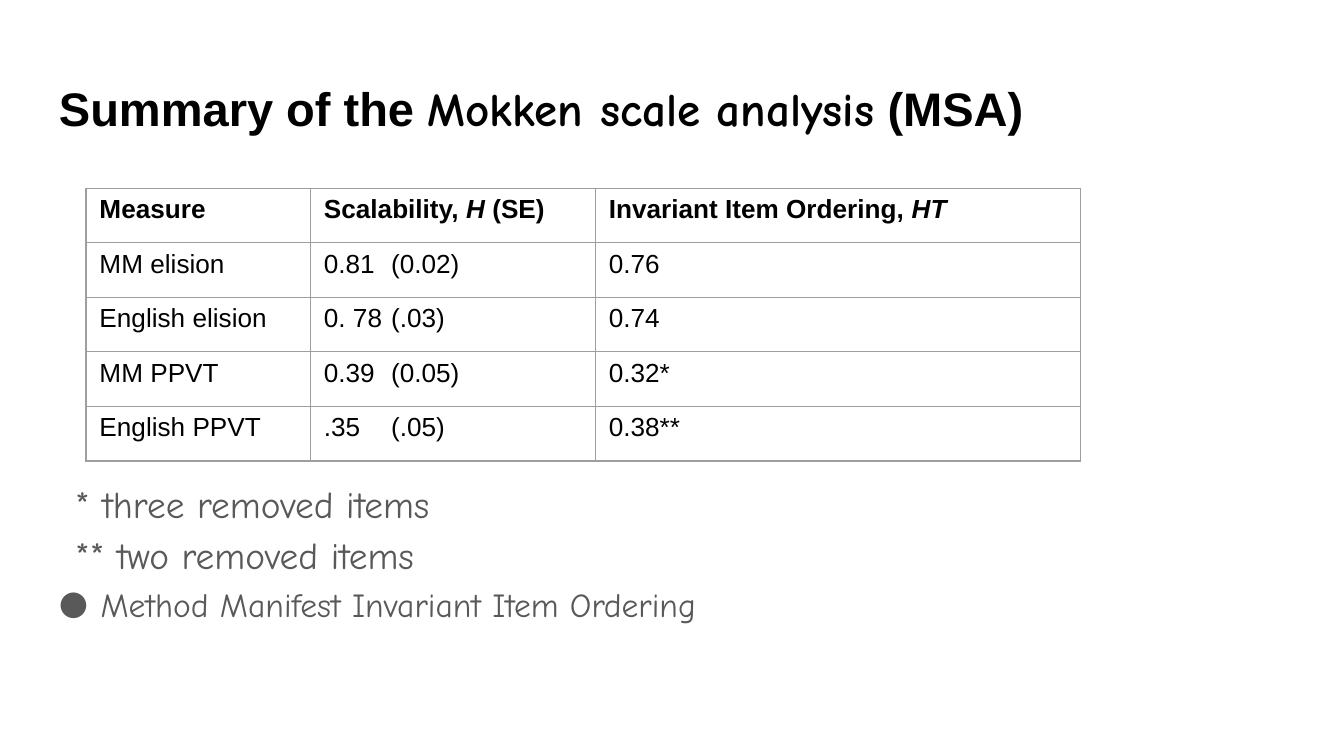
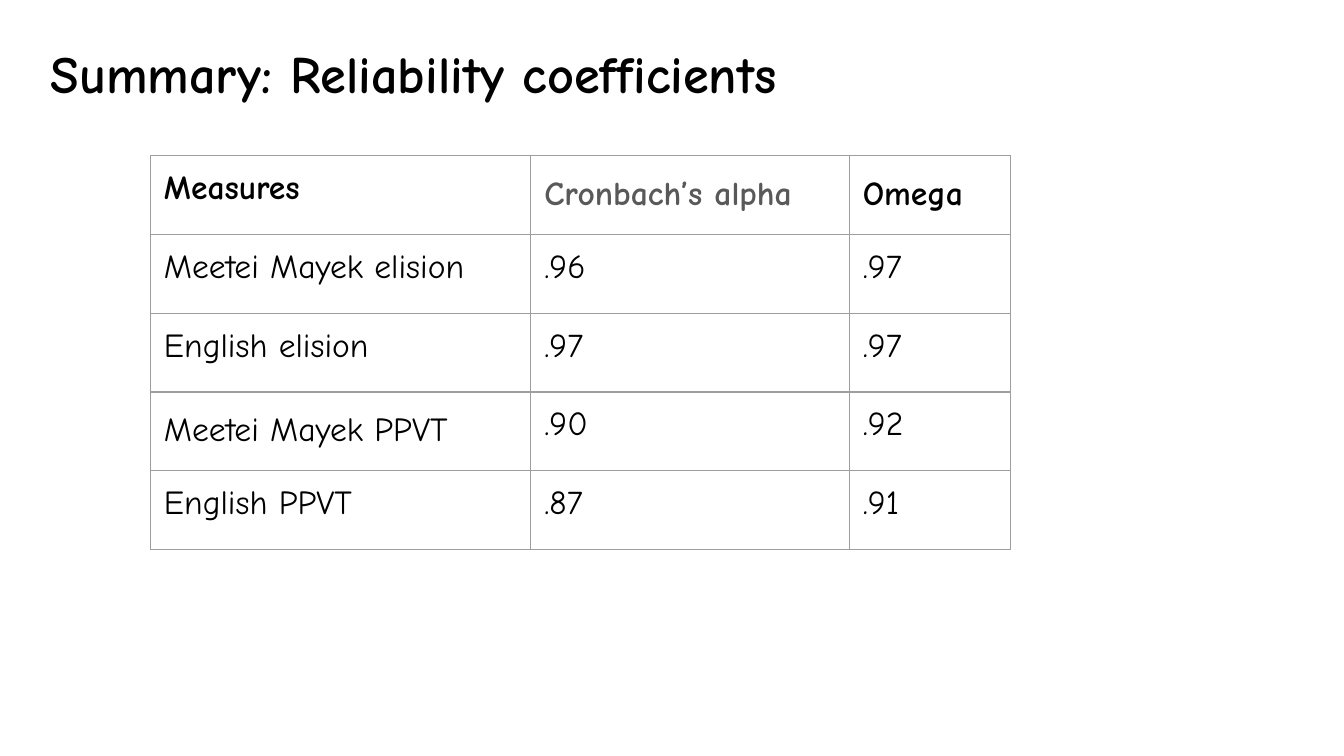
from dataclasses import dataclass, replace

from lxml.etree import SubElement
from pptx import Presentation
from pptx.dml.color import RGBColor
from pptx.enum.text import MSO_ANCHOR as Anchor
from pptx.oxml.ns import qn
from pptx.util import Inches, Pt

BLACK = RGBColor(0x00, 0x00, 0x00)
GREY = RGBColor(0x59, 0x59, 0x59)
BORDER = RGBColor(0x9E, 0x9E, 0x9E)
SANS = "Arial"
COMIC = "Comic Neue"
INSET = 0.1
LOOSE = 1.15
AFTER = 12


@dataclass(frozen=True)
class Style:
    font: str
    size: float
    color: RGBColor = BLACK
    bold: bool = False
    italic: bool = False


@dataclass(frozen=True)
class Span:
    text: str
    style: Style


@dataclass(frozen=True)
class Line:
    spans: tuple[Span, ...]
    spacing: float | None = None
    after: float = 0
    margin: float = 0
    indent: float = 0
    bullet: bool = False
    tab: float | None = None


@dataclass(frozen=True)
class TableSpec:
    left: float
    top: float
    widths: tuple[float, ...]
    height: float
    inset_y: float
    rows: tuple[tuple[Line, ...], ...]


def plain(text: str, style: Style, **layout) -> Line:
    return Line((Span(text, style),), **layout)


def write_line(paragraph, line: Line) -> None:
    for span in line.spans:
        run = paragraph.add_run()
        run.text = span.text
        font, style = run.font, span.style
        font.name, font.size = style.font, Pt(style.size)
        font.bold, font.italic = style.bold, style.italic
        font.color.rgb = style.color
    if line.spacing:
        paragraph.line_spacing = line.spacing
    paragraph.space_after = Pt(line.after)
    properties = paragraph._p.get_or_add_pPr()
    properties.set("marL", str(Inches(line.margin)))
    properties.set("indent", str(Inches(line.indent)))
    if line.bullet:
        style = line.spans[0].style
        color = SubElement(properties, qn("a:buClr"))
        SubElement(color, qn("a:srgbClr"), val=str(style.color))
        SubElement(properties, qn("a:buFont"), typeface=style.font)
        SubElement(properties, qn("a:buChar"), char="●")
    if line.tab:
        tabs = SubElement(properties, qn("a:tabLst"))
        SubElement(tabs, qn("a:tab"), pos=str(Inches(line.tab)), algn="l")


def add_text(slide, left: float, top: float, width: float, height: float,
             lines: tuple[Line, ...]) -> None:
    box = slide.shapes.add_textbox(Inches(left), Inches(top), Inches(width), Inches(height))
    frame = box.text_frame
    frame.word_wrap = True
    frame.vertical_anchor = Anchor.TOP
    frame.margin_left = frame.margin_right = Inches(INSET)
    frame.margin_top = frame.margin_bottom = Inches(INSET)
    for index, line in enumerate(lines):
        write_line(frame.add_paragraph() if index else frame.paragraphs[0], line)


def add_title(slide, left: float, top: float, *spans: Span) -> None:
    add_text(slide, left, top, 9.32, 0.63, (Line(spans),))


def draw_borders(cell) -> None:
    properties = cell._tc.get_or_add_tcPr()
    for side in ("lnL", "lnR", "lnT", "lnB"):
        edge = SubElement(properties, qn(f"a:{side}"), w=str(Pt(0.75)))
        fill = SubElement(edge, qn("a:solidFill"))
        SubElement(fill, qn("a:srgbClr"), val=str(BORDER))


def add_table(slide, spec: TableSpec) -> None:
    count = len(spec.rows)
    frame = slide.shapes.add_table(
        count, len(spec.widths), Inches(spec.left), Inches(spec.top),
        Inches(sum(spec.widths)), Inches(spec.height))
    table = frame.table
    table.first_row = table.horz_banding = False
    for column, width in zip(table.columns, spec.widths):
        column.width = Inches(width)
    for row, lines in zip(table.rows, spec.rows):
        row.height = Inches(spec.height / count)
        for cell, line in zip(row.cells, lines):
            cell.margin_left = cell.margin_right = Inches(INSET)
            cell.margin_top = cell.margin_bottom = Inches(spec.inset_y)
            draw_borders(cell)
            cell.fill.background()
            write_line(cell.text_frame.paragraphs[0], line)


def build_scale_slide(slide) -> None:
    title = Style(SANS, 25.2, bold=True)
    add_title(slide, 0.34, 0.49,
              Span("Summary of the ", title),
              Span("Mokken scale analysis", replace(title, font=COMIC)),
              Span(" (MSA)", title))

    # Footnotes below the table
    note = Style(COMIC, 20, GREY)
    add_text(slide, 0.34, 3.43, 9.32, 1.57, (
        plain("* three removed items", note, spacing=LOOSE, margin=0.12),
        plain("** two removed items", note, spacing=LOOSE, margin=0.12),
        plain("Method Manifest Invariant Item Ordering", replace(note, size=18),
              spacing=LOOSE, after=AFTER, margin=0.31, indent=-0.31, bullet=True),
    ))

    # Scalability and item ordering
    body = Style(SANS, 14)
    head = replace(body, bold=True)
    symbol = replace(head, italic=True)
    header = (
        plain("Measure", head),
        Line((Span("Scalability, ", head), Span("H", symbol), Span(" (SE)", head))),
        Line((Span("Invariant Item Ordering, ", head), Span("HT", symbol))),
    )
    results = (
        ("MM elision", "0.81", "(0.02)", "0.76"),
        ("English elision", "0. 78", "(.03)", "0.74"),
        ("MM PPVT", "0.39", "(0.05)", "0.32*"),
        ("English PPVT", ".35", "(.05)", "0.38**"),
    )
    rows = tuple(
        (plain(measure, body), plain(f"{scalability}\t{error}", body, tab=0.58),
         plain(ordering, body))
        for measure, scalability, error, ordering in results)
    add_table(slide, TableSpec(0.64, 1.4, (1.67, 2.12, 3.61), 2.03, 0.05, (header, *rows)))


def build_reliability_slide(slide) -> None:
    add_title(slide, 0.28, 0.21,
              Span("Summary: Reliability coefficients", Style(COMIC, 28, bold=True)))

    # Reliability coefficients
    body = Style(COMIC, 18)
    head = replace(body, bold=True)
    header = (
        plain("Measures", head),
        plain("Cronbach’s alpha", replace(head, color=GREY), spacing=LOOSE, after=AFTER),
        plain("Omega", head, spacing=LOOSE, after=AFTER),
    )
    results = (
        ("Meetei Mayek elision", ".96", ".97", None),
        ("English elision", ".97", ".97", None),
        ("Meetei Mayek PPVT", ".90", ".92", LOOSE),
        ("English PPVT", ".87", ".91", None),
    )
    rows = tuple(
        (plain(measure, body, spacing=spacing), plain(alpha, body), plain(omega, body))
        for measure, alpha, omega, spacing in results)
    add_table(slide, TableSpec(1.12, 1.16, (2.83, 2.37, 1.2), 2.93, INSET, (header, *rows)))


def main() -> None:
    presentation = Presentation()
    presentation.slide_width = Inches(10)
    presentation.slide_height = Inches(5.625)
    blank = presentation.slide_layouts[6]
    for build in (build_scale_slide, build_reliability_slide):
        build(presentation.slides.add_slide(blank))
    presentation.save("out.pptx")


if __name__ == "__main__":
    main()
